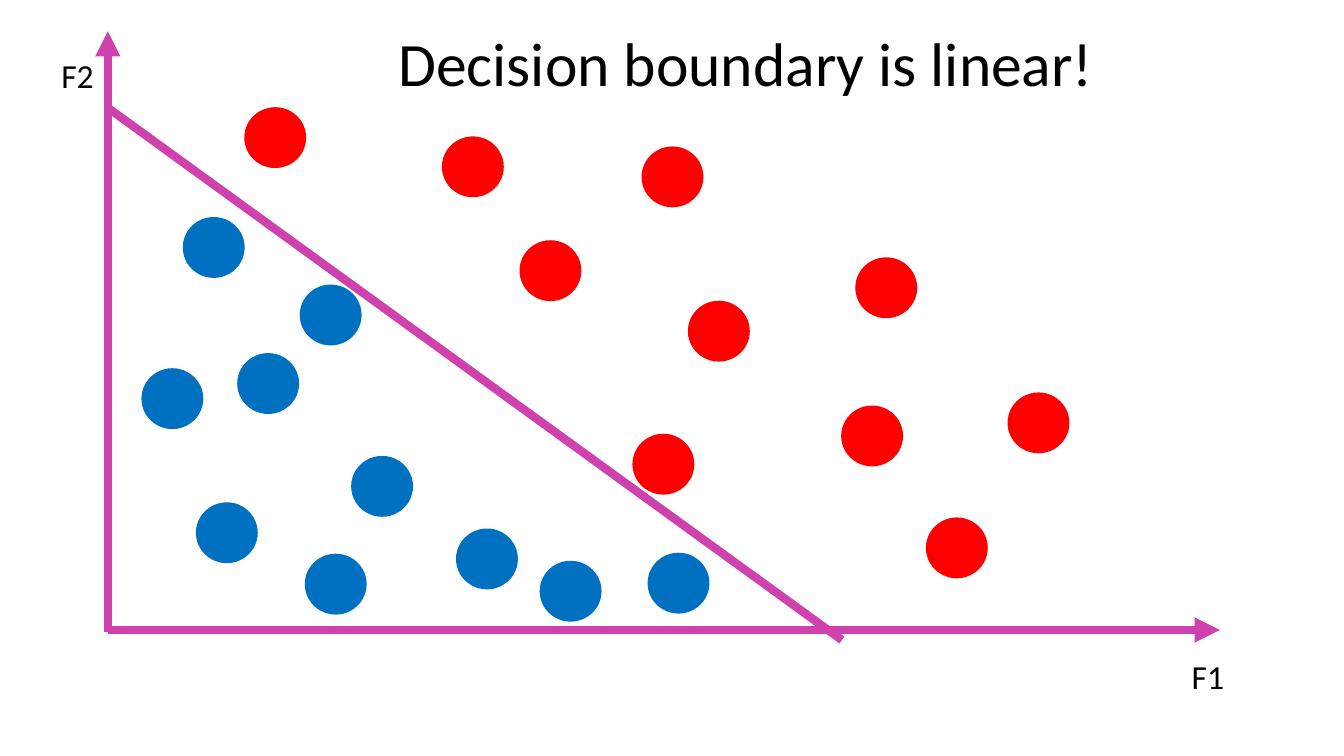
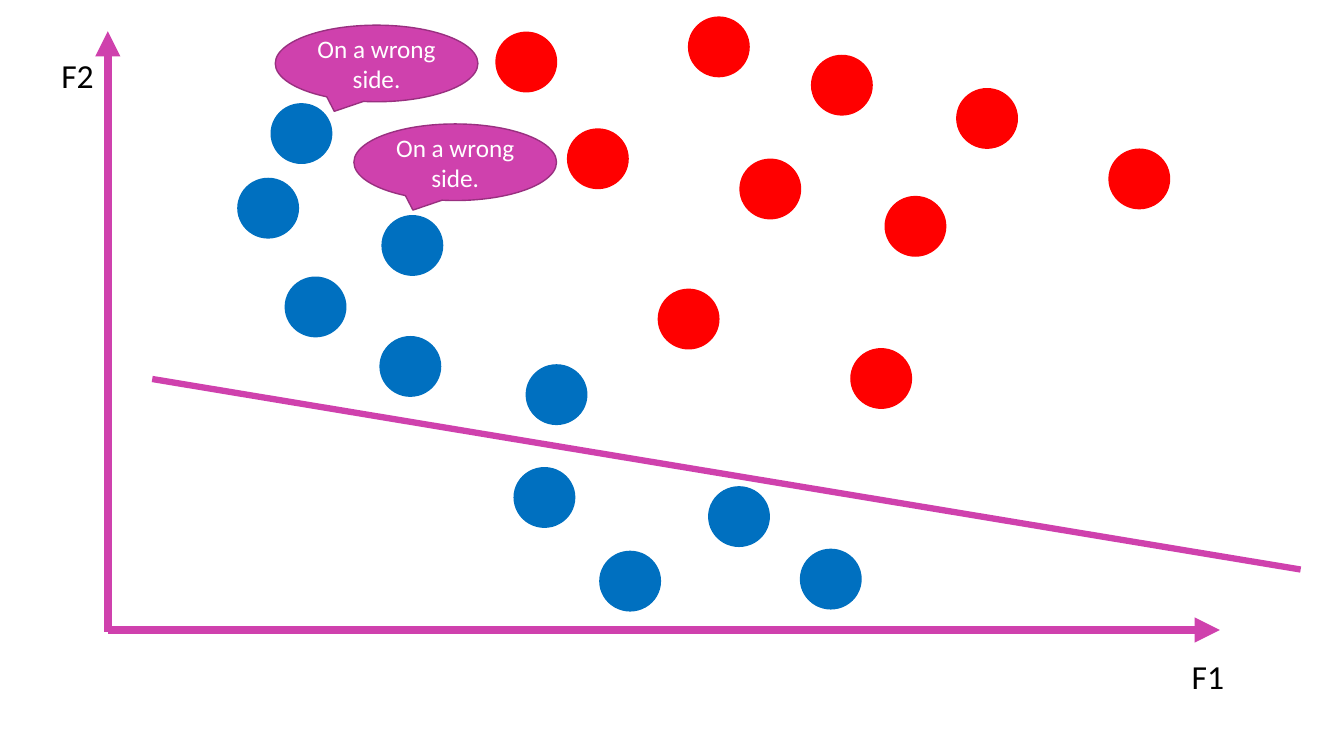
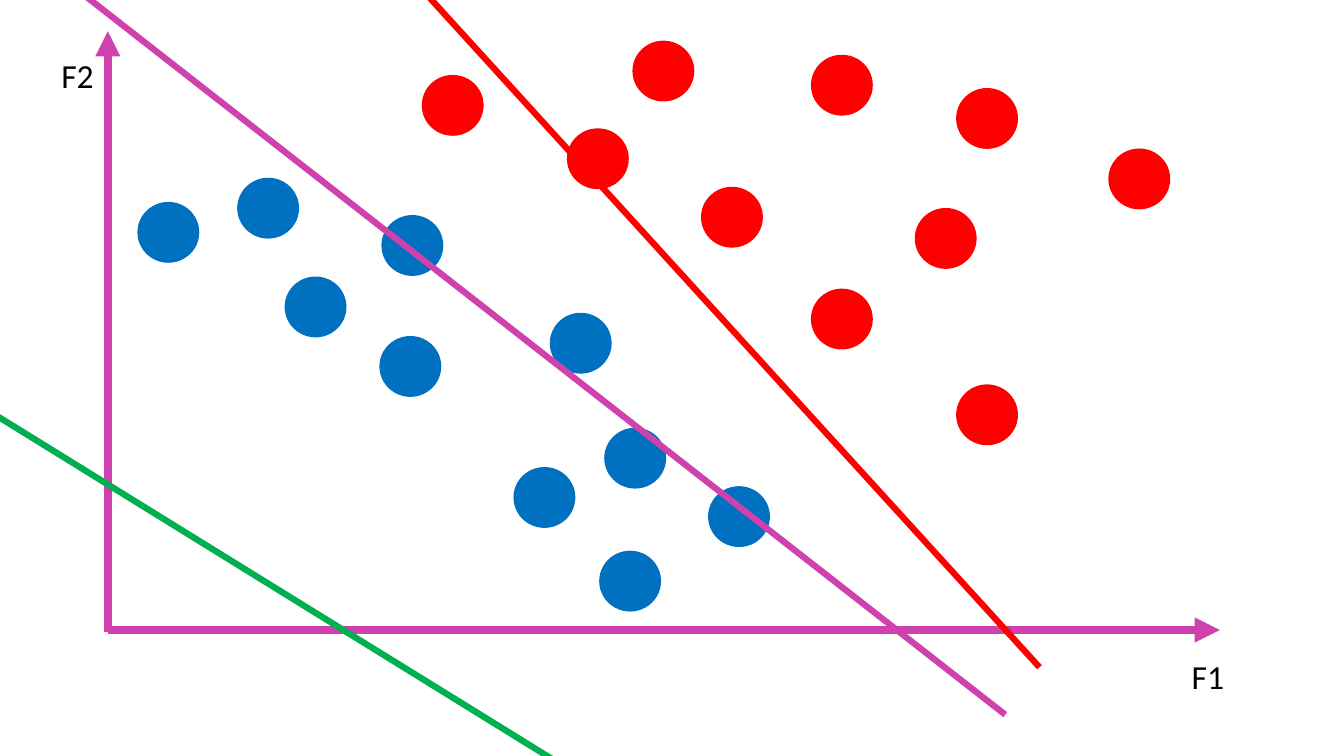
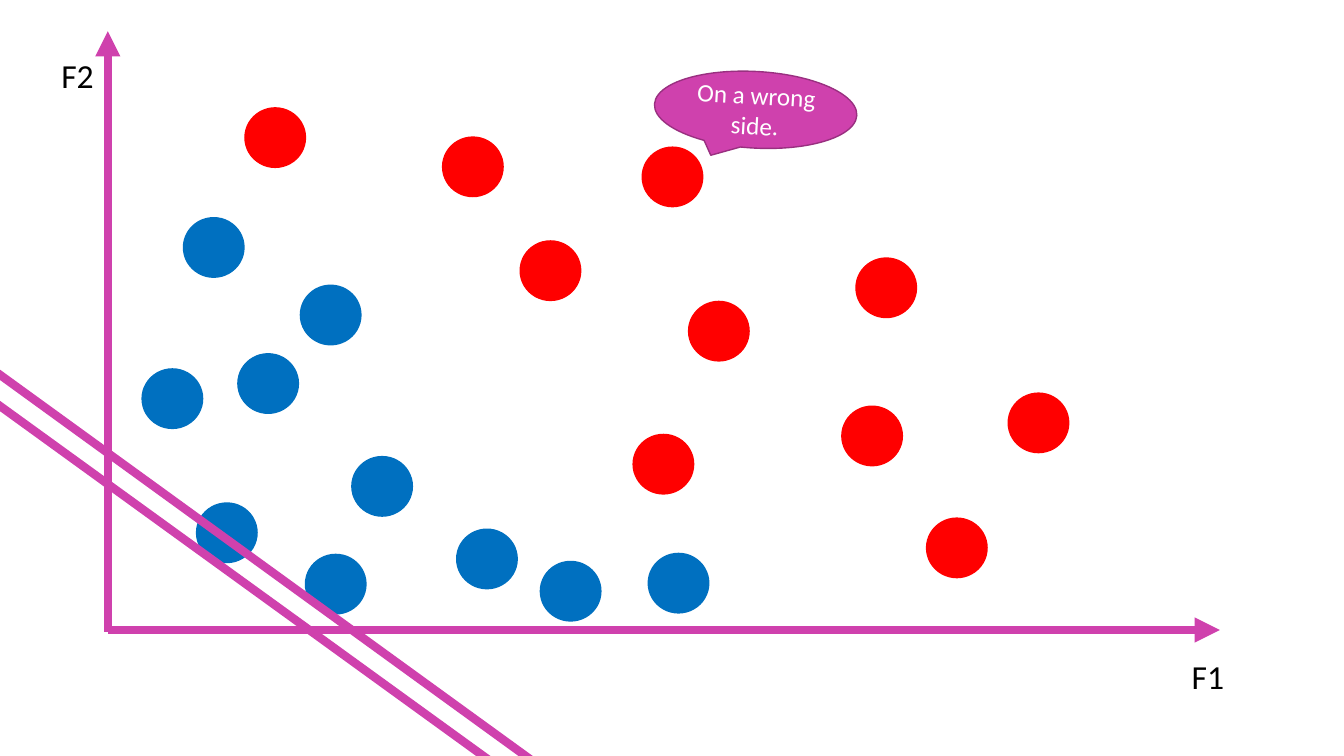
from lxml import etree
from pptx import Presentation
from pptx.dml.color import RGBColor
from pptx.enum.shapes import MSO_CONNECTOR, MSO_SHAPE
from pptx.enum.text import MSO_ANCHOR, MSO_AUTO_SIZE, PP_ALIGN
from pptx.oxml.ns import qn
from pptx.util import Pt

PX = 9144  # 100 px to the inch
LINE = MSO_CONNECTOR.STRAIGHT
DOT, BUBBLE = MSO_SHAPE.OVAL, MSO_SHAPE.OVAL_CALLOUT
TOP, MIDDLE = MSO_ANCHOR.TOP, MSO_ANCHOR.MIDDLE
LEFT, CENTER = PP_ALIGN.LEFT, PP_ALIGN.CENTER

FONT = "Calibri"
COLORS = {
    "pink": "CF41AD", "plum": "993080", "red": "FF0000", "blue": "0070C0",
    "green": "00B050", "black": "000000", "white": "FFFFFF",
}
PAGE = (0, 0, 1333, 750)

# Dots that can be split by a line, as left and top
SPLIT = {
    "red": [(243, 107), (439, 136), (516, 239), (637, 146), (683, 299),
            (849, 256), (835, 403), (1000, 390), (628, 431), (919, 514)],
    "blue": [(236, 351), (195, 499), (453, 525), (349, 453), (643, 549),
             (298, 283), (182, 216), (141, 366), (303, 550), (536, 557)],
}
# Dots that stay in place while the others move
FIXED = {
    "red": [(563, 128), (805, 55), (949, 88), (1100, 148)],
    "blue": [(377, 334), (283, 275), (510, 464), (703, 483), (379, 214),
             (236, 177), (595, 547)],
}
STEEP = {
    "red": FIXED["red"] + [(683, 17), (492, 32), (734, 158), (878, 195),
                           (653, 287), (844, 346)],
    "blue": FIXED["blue"] + [(269, 103), (794, 545), (522, 362)],
}
WIDE = {
    "red": FIXED["red"] + [(628, 41), (419, 75), (696, 186), (908, 207),
                           (949, 382), (805, 287)],
    "blue": FIXED["blue"] + [(546, 311), (600, 425), (137, 201)],
}


def rgb(name):
    return RGBColor.from_string(COLORS[name])


def emu(*sizes):
    return [size * PX for size in sizes]


def style(frame, text, size, color, align=LEFT, anchor=TOP):
    frame.text = text
    frame.vertical_anchor = anchor
    para = frame.paragraphs[0]
    para.alignment = align
    font = para.runs[0].font
    font.name, font.size = FONT, Pt(size)
    font.color.rgb = rgb(color)


def add_line(shapes, box, ends, color, width, arrow=False):
    x, y = box[:2]
    x1, y1, x2, y2 = ends
    line = shapes.add_connector(LINE, *emu(x + x1, y + y1, x + x2, y + y2))
    line.line.color.rgb = rgb(color)
    line.line.width = Pt(width)
    if arrow:
        stroke = line.line._get_or_add_ln()
        etree.SubElement(stroke, qn("a:tailEnd"), type="triangle")
    etree.SubElement(line._element.spPr, qn("a:effectLst"))


def add_shape(slide, kind, box, fill, edge):
    shape = slide.shapes.add_shape(kind, *emu(*box))
    shape.shadow.inherit = False
    shape.fill.solid()
    shape.fill.fore_color.rgb = rgb(fill)
    shape.line.color.rgb = rgb(edge)
    shape.line.width = Pt(1)
    return shape


def add_label(slide, box, left, top, text):
    label = slide.shapes.add_textbox(
        *emu(box[0] + left, box[1] + top, 53, 50))
    style(label.text_frame, text, 24, "black")
    label.text_frame.word_wrap = False
    label.text_frame.auto_size = MSO_AUTO_SIZE.SHAPE_TO_FIT_TEXT


def add_plot(slide, box, dots):
    """Draw the two axes, the dots of each class and the axis labels."""
    axes = slide.shapes.add_group_shape().shapes
    for ends in ((107, 625, 1210, 625), (107, 627, 107, 31)):
        add_line(axes, box, ends, "pink", 6, arrow=True)
    for color, spots in dots.items():
        for left, top in spots:
            spot = (box[0] + left, box[1] + top, 60, 59)
            add_shape(slide, DOT, spot, color, color)
    add_label(slide, box, 1172, 646, "F1")
    add_label(slide, box, 51, 50, "F2")


def add_bubble(slide, box, left, top, turn=0):
    place = (box[0] + left, box[1] + top, 201, 76)
    bubble = add_shape(slide, BUBBLE, place, "pink", "plum")
    bubble.rotation = turn
    frame = bubble.text_frame
    style(frame, "On a wrong side.", 18, "white", CENTER, MIDDLE)
    frame.word_wrap = True


def add_title(slide, box, text):
    title = slide.shapes.title
    title.left, title.top, title.width, title.height = emu(*box)
    style(title.text_frame, text, 44, "black")
    title.text_frame.word_wrap = False


def add_page(deck, dots, lines, width, bubbles=(), title=None):
    layout = deck.slide_layouts[5 if title else 6]
    slide = deck.slides.add_slide(layout)
    if title:
        add_title(slide, (385, 20, 718, 84), title)
    add_plot(slide, PAGE, dots)
    for color, ends in lines:
        add_line(slide.shapes, PAGE, ends, color, width)
    for bubble in bubbles:
        add_bubble(slide, PAGE, *bubble)


def main():
    deck = Presentation()
    deck.slide_width, deck.slide_height = emu(*PAGE[2:])
    add_page(deck, SPLIT, [("pink", (107, 107, 835, 635))], 6,
             title="Decision boundary is linear!")
    add_page(deck, STEEP, [("pink", (151, 376, 1290, 565))], 4.5,
             bubbles=[(273, 25), (351, 123)])
    add_page(deck, WIDE, [("pink", (54, -28, 997, 709)),
                          ("red", (348, -88, 1031, 662)),
                          ("green", (-326, 213, 753, 880))], 4.5)
    add_page(deck, SPLIT, [("pink", (-26, 384, 703, 912)),
                           ("pink", (-15, 361, 713, 889))], 6,
             bubbles=[(649, 71, 3.2)])
    deck.save("out.pptx")


if __name__ == "__main__":
    main()
